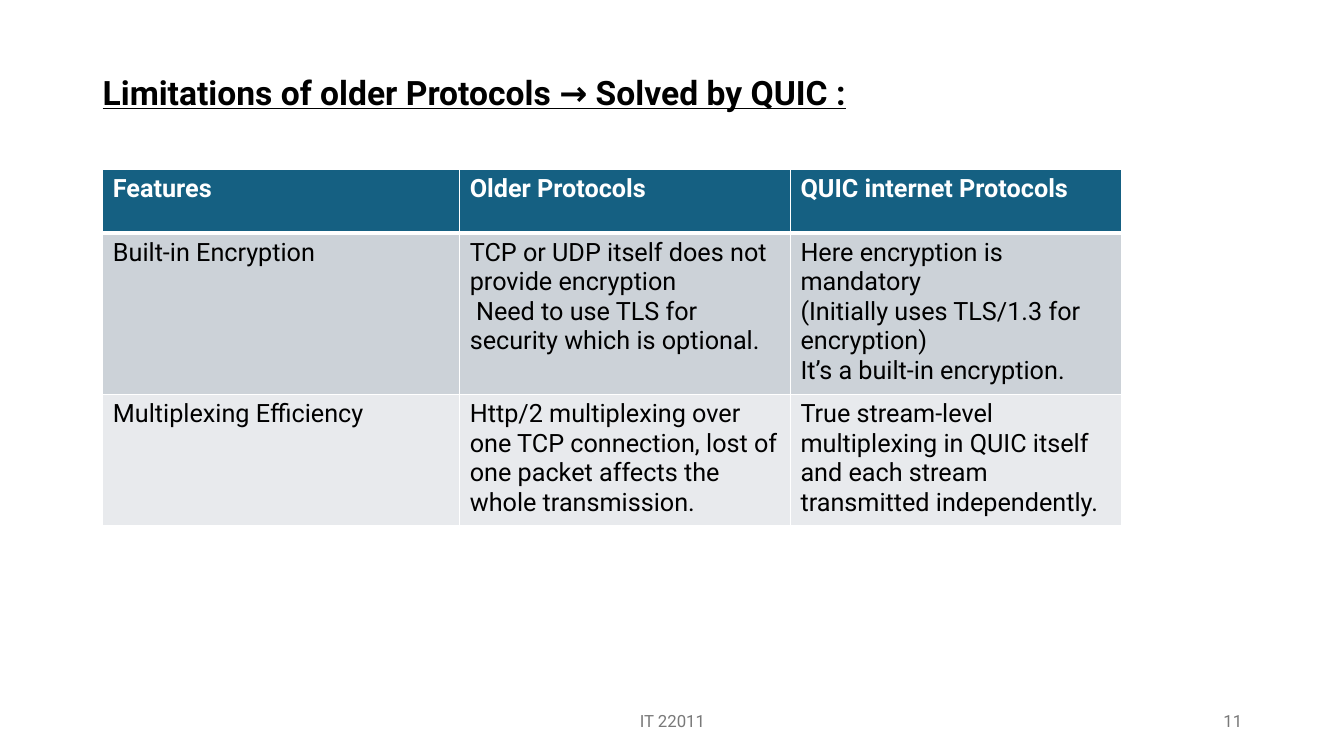
from dataclasses import dataclass

from lxml.etree import SubElement
from pptx import Presentation
from pptx.dml.color import RGBColor
from pptx.enum.text import MSO_ANCHOR, PP_ALIGN
from pptx.oxml.ns import qn
from pptx.slide import Slide
from pptx.table import _Cell
from pptx.text.text import TextFrame
from pptx.util import Inches, Pt

WHITE = "FFFFFF"
BLACK = "000000"
GREY = "797979"


@dataclass(frozen=True)
class Label:
    text: str
    left: float
    top: float
    width: float
    height: float
    size: int
    colour: str
    align: PP_ALIGN = PP_ALIGN.LEFT
    anchor: MSO_ANCHOR = MSO_ANCHOR.MIDDLE
    bold: bool = False
    underline: bool = False


@dataclass(frozen=True)
class Row:
    height: float
    fill: str
    cells: tuple[str, ...]
    colour: str = BLACK
    bold: bool = False
    bottom_border: int = 1


LABELS = (
    Label("Limitations of older Protocols → Solved by QUIC :", 0.92, 0.66, 10.2, 0.81,
          24, BLACK, anchor=MSO_ANCHOR.TOP, bold=True, underline=True),
    Label("IT 22011", 4.42, 6.95, 4.5, 0.4, 12, GREY, PP_ALIGN.CENTER),
    Label("11", 9.42, 6.95, 3, 0.4, 12, GREY, PP_ALIGN.RIGHT),
)

COLUMN_WIDTHS = (3.54, 3.28, 3.28)
ROWS = (
    Row(0.63, "156082", ("Features", "Older Protocols", "QUIC internet Protocols"),
        WHITE, True, 3),
    Row(1.6, "CCD2D8", (
        "Built-in Encryption",
        "TCP or UDP itself does not provide encryption\n"
        " Need to use TLS for security which is optional.",
        "Here encryption is mandatory\n"
        "(Initially uses TLS/1.3 for encryption)\n"
        "It’s a built-in encryption.",
    )),
    Row(1.3, "E8EAED", (
        "Multiplexing Efficiency",
        "Http/2 multiplexing over one TCP connection, lost of one packet affects "
        "the whole transmission.",
        "True stream-level multiplexing in QUIC itself and each stream "
        "transmitted independently.",
    )),
)


def rgb(colour: str) -> RGBColor:
    return RGBColor.from_string(colour)


def write(frame: TextFrame, text: str, colour: str, align: PP_ALIGN, font_format: dict) -> None:
    frame.text = text
    frame.word_wrap = True
    for paragraph in frame.paragraphs:
        paragraph.alignment = align
        for run in paragraph.runs:
            run.font.color.rgb = rgb(colour)
            for attribute, value in font_format.items():
                setattr(run.font, attribute, value)


def add_label(slide: Slide, label: Label) -> None:
    frame = slide.shapes.add_textbox(
        Inches(label.left), Inches(label.top), Inches(label.width), Inches(label.height)
    ).text_frame
    frame.vertical_anchor = label.anchor
    write(frame, label.text, label.colour, label.align,
          {"name": "Roboto", "size": Pt(label.size), "bold": label.bold,
           "underline": label.underline})


def add_borders(cell: _Cell, top: int, bottom: int) -> None:
    properties = cell._tc.get_or_add_tcPr()
    for side, points in {"lnL": 1, "lnR": 1, "lnT": top, "lnB": bottom}.items():
        border = SubElement(properties, qn(f"a:{side}"), w=str(Pt(points)))
        solid = SubElement(border, qn("a:solidFill"))
        SubElement(solid, qn("a:srgbClr"), val=WHITE)


def add_comparison(slide: Slide, left: float, top: float) -> None:
    comparison = slide.shapes.add_table(
        len(ROWS), len(COLUMN_WIDTHS), Inches(left), Inches(top),
        Inches(sum(COLUMN_WIDTHS)), Inches(sum(row.height for row in ROWS)),
    ).table
    comparison.horz_banding = False
    for column, width in zip(comparison.columns, COLUMN_WIDTHS):
        column.width = Inches(width)
    top_border = 1
    for index, row in enumerate(ROWS):
        comparison.rows[index].height = Inches(row.height)
        for cell, text in zip(comparison.rows[index].cells, row.cells):
            add_borders(cell, top_border, row.bottom_border)
            cell.fill.solid()
            cell.fill.fore_color.rgb = rgb(row.fill)
            write(cell.text_frame, text, row.colour, PP_ALIGN.LEFT,
                  {"name": "Roboto", "size": Pt(18), "bold": row.bold})
        top_border = row.bottom_border


def main() -> None:
    presentation = Presentation()
    presentation.slide_width = Inches(13.33)
    presentation.slide_height = Inches(7.5)
    slide = presentation.slides.add_slide(presentation.slide_layouts[6])
    add_comparison(slide, 1.02, 1.68)
    for label in LABELS:
        add_label(slide, label)
    presentation.save("out.pptx")


if __name__ == "__main__":
    main()
